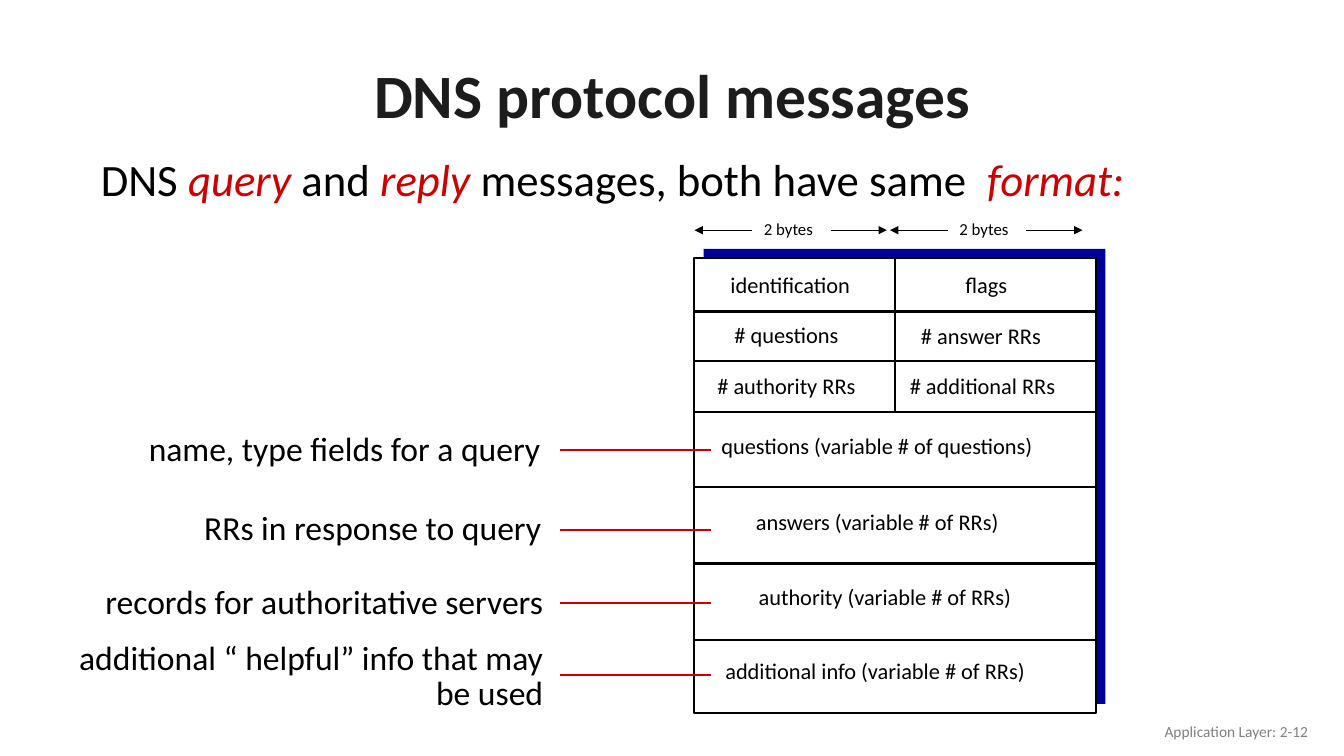
"""Build the slide that explains the format of DNS protocol messages."""
import pptx
import pptx.dml.color
import pptx.enum.shapes
import pptx.enum.text
import pptx.oxml
import pptx.oxml.ns
import pptx.util

Cm = pptx.util.Cm
Pt = pptx.util.Pt
ALIGN = pptx.enum.text.PP_ALIGN
ANCHOR = pptx.enum.text.MSO_ANCHOR
COLORS = {name: pptx.dml.color.RGBColor.from_string(value) for name, value in {
    "black": "000000", "white": "FFFFFF", "navy": "000099",
    "red": "CC0000", "title": "1C1C1C", "gray": "808080"}.items()}

presentation = pptx.Presentation()
presentation.slide_width = Cm(33.87)
presentation.slide_height = Cm(19.05)
slide = presentation.slides.add_slide(presentation.slide_layouts[5])


def add_text(text, left, top, width, height, size=16, color="black", bold=False,
             align=ALIGN.LEFT, anchor=ANCHOR.TOP, spacing=1.0, wrap=True, shape=None):
    """Write text into a box; parts between asterisks are red italics."""
    shape = shape or slide.shapes.add_textbox(0, 0, 0, 0)
    shape.left, shape.top, shape.width, shape.height = map(Cm, (left, top, width, height))
    frame = shape.text_frame
    frame.auto_size = pptx.enum.text.MSO_AUTO_SIZE.NONE
    frame.word_wrap = wrap
    frame.vertical_anchor = anchor
    paragraph = frame.paragraphs[0]
    paragraph.alignment = align
    paragraph.line_spacing = spacing
    for index, part in enumerate(text.split("*")):
        if part:
            emphasized = index % 2 == 1
            run = paragraph.add_run()
            run.text = part
            run.font.name = "Calibri"
            run.font.size = Pt(size)
            run.font.bold = bold
            run.font.italic = emphasized
            run.font.color.rgb = COLORS["red" if emphasized else color]
    return shape


def add_line(x1, y1, x2, y2, color="black", width=1.5, arrow=False):
    """Draw a straight line, with an arrowhead at its end if asked."""
    line = slide.shapes.add_connector(
        pptx.enum.shapes.MSO_CONNECTOR.STRAIGHT, Cm(x1), Cm(y1), Cm(x2), Cm(y2))
    line.line.color.rgb = COLORS[color]
    line.line.width = Pt(width)
    if arrow:
        outline = line.line._get_or_add_ln()
        outline.append(pptx.oxml.parse_xml(
            f'<a:tailEnd {pptx.oxml.ns.nsdecls("a")} type="triangle"/>'))
    line._element.spPr.append(pptx.oxml.parse_xml(
        f'<a:effectLst {pptx.oxml.ns.nsdecls("a")}/>'))


add_text("DNS protocol messages", 2.34, 1.24, 29.21, 2.49, size=44, color="title",
         bold=True, align=ALIGN.CENTER, anchor=ANCHOR.MIDDLE, spacing=0.9,
         shape=slide.shapes.title)
add_text("DNS *query *and *reply* messages, both have same  *format:*",
         2.29, 3.86, 28.52, 1.42, size=32, spacing=0.9)
add_text("Application Layer: 2-12", 25.6, 17.91, 7.62, 1.02, size=11, color="gray",
         align=ALIGN.RIGHT, anchor=ANCHOR.MIDDLE)

message_left, message_top, message_width, message_height = 17.5, 6.5, 10.13, 11.47
message_right = message_left + message_width
message_middle = message_left + message_width / 2
for offset, fill in ((0.23, "navy"), (0, "white")):
    box = slide.shapes.add_shape(
        pptx.enum.shapes.MSO_SHAPE.RECTANGLE, Cm(message_left + offset),
        Cm(message_top - offset), Cm(message_width), Cm(message_height))
    box.shadow.inherit = False
    box.fill.solid()
    box.fill.fore_color.rgb = COLORS[fill]
    box.line.fill.background()
box.line.color.rgb = COLORS["black"]
box.line.width = Pt(1.5)

row_lines = (7.85, 9.1, 10.38, 12.27, 14.2, 16.13)
for y in row_lines:
    add_line(message_left, y, message_right, y)
add_line(message_middle, message_top, message_middle, row_lines[2])

fields = (
    ("identification", 18.16, 6.71, 3.63),
    ("flags", 24.08, 6.71, 1.57),
    ("# questions", 18.26, 7.98, 3.18),
    ("# answer RRs", 22.96, 8.0, 3.58),
    ("# authority RRs", 17.83, 9.25, 4.04),
    ("# additional RRs", 22.68, 9.25, 4.22),
    ("questions (variable # of questions)", 17.93, 10.77, 8.46),
    ("answers (variable # of RRs)", 18.8, 12.67, 6.71),
    ("authority (variable # of RRs)", 18.87, 14.58, 6.96),
    ("additional info (variable # of RRs)", 18.03, 16.43, 8.15),
)
for text, left, top, width in fields:
    add_text(text, left, top, width, 0.94, wrap=False)

arrow_y = 5.8
for left in (message_left, message_left + 4.93):
    add_text("2 bytes", left + 1.5, 5.38, 1.75, 0.76, size=12, wrap=False)
    add_line(left + 3.43, arrow_y, left + 4.85, arrow_y, width=0.75, arrow=True)
    add_line(left + 1.45, arrow_y, left, arrow_y, width=0.75, arrow=True)

explanations = (
    ("name, type fields for a query", 13.87, 11.37, 1.14, 11.35),
    ("RRs in response to query", 13.89, 13.37, 1.14, 13.36),
    ("records for authoritative servers", 13.94, 15.23, 1.14, 15.19),
    ("additional “ helpful” info that may be used", 13.94, 17.08, 2.01, 17.02),
)
for text, right, center, height, line_y in explanations:
    add_text(text, right - 12.83, center - height / 2, 12.83, height, size=24,
             align=ALIGN.RIGHT, anchor=ANCHOR.MIDDLE, spacing=0.85)
    add_line(17.91, line_y, 14.1, line_y, color="red")

presentation.save("out.pptx")
